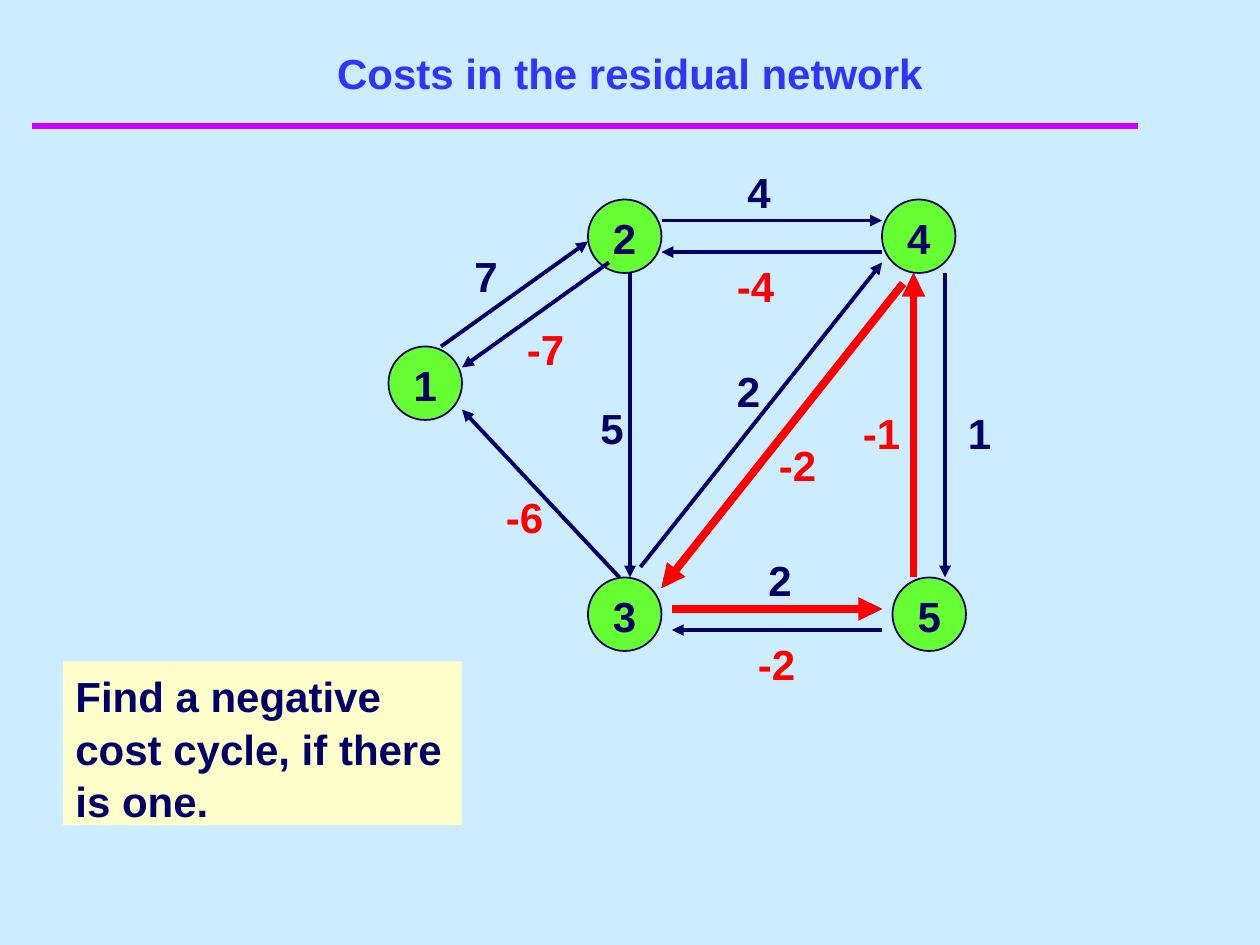
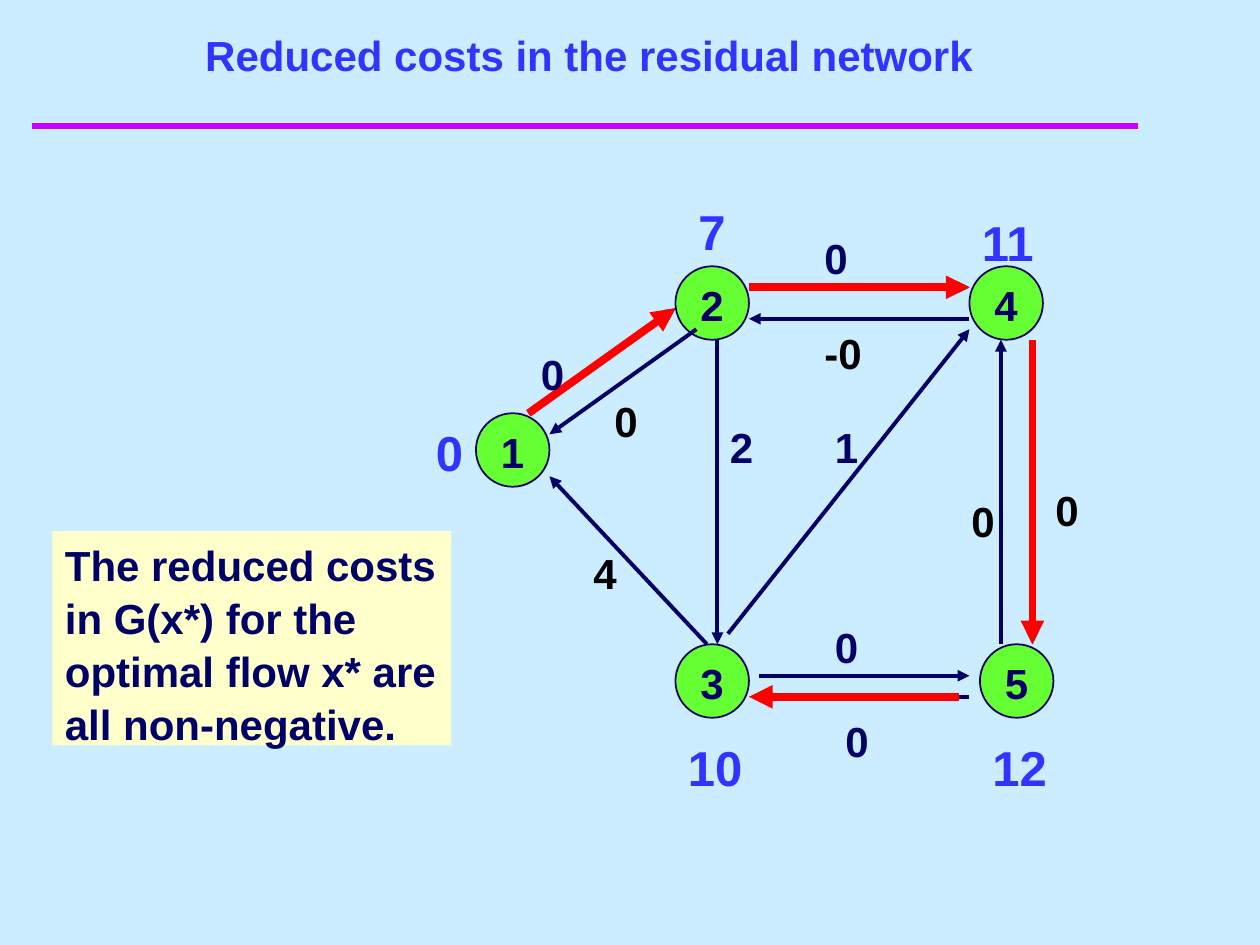
from lxml import etree
from pptx import Presentation
from pptx import util as u
from pptx.dml.color import RGBColor
from pptx.enum import shapes, text
from pptx.oxml import ns

COLOURS = {"sky": "CCECFF", "rule": "CC00FF", "blue": "3333FF", "navy": "000066",
           "green": "66FF33", "red": "FF0000", "black": "000000", "cream": "FFFFCC"}
RGB = {name: RGBColor.from_string(code) for name, code in COLOURS.items()}

deck = Presentation()
deck.slide_width, deck.slide_height = u.Inches(10), u.Inches(7.5)
CELL = deck.slide_width // 120  # the grid has 120 columns and 90 rows
NODE_SIZE, LABEL_HEIGHT, POTENTIAL_HEIGHT = 7, 6, 6.8

NODES = {"1": (37, 33), "2": (56, 19), "4": (84, 19), "3": (56, 55), "5": (85, 55)}
# Arcs by tail and head node: start column, start row, end column, end row
ARCS = {"35": (64, 58, 84, 58), "24": (63, 21, 84, 21), "12": (42, 33, 56, 23),
        "54": (87, 55, 87, 26), "23": (60, 26, 60, 55), "34": (61, 54, 84, 25),
        "21": (58, 25, 44, 35), "53": (84, 60, 64, 60), "31": (59, 55, 44, 39),
        "45": (90, 26, 90, 55), "42": (84, 24, 63, 24), "43": (86, 27, 63, 56)}

# Costs and potentials: text, column, row, width, colour, all relative to the network
NETWORKS = [
    {"title": "Costs in the residual network",
     "title_box": (6, 1.56, 108, 8.4),
     "origin": (0, 0),
     "unused": [],
     "highlights": {"35": 0, "54": 0, "43": 0},
     "potentials": [],
     "costs": [("1", 91, 38, 5, "navy"), ("2", 69, 34, 7, "navy"),
               ("2", 72, 52, 7, "navy"), ("7", 44, 23, 14, "navy"),
               ("-7", 49, 30, 14, "red"), ("-6", 47, 46, 8, "red"),
               ("-2", 71, 60, 7, "red"), ("-1", 81, 38, 7, "red"),
               ("-4", 69, 24, 8, "red"), ("4", 70, 15, 7, "navy"),
               ("-2", 73, 41, 7, "red"), ("5", 56, 37.5, 8, "navy")],
     "callout": "Find a negative cost cycle, if there is one.",
     "callout_box": (6, 63, 38, 15.6)},
    {"title": "Reduced costs in the residual network",
     "title_box": (5.16, 2.04, 101.9, 6.12),
     "origin": (8.33, 6.36),
     "unused": ["43"],
     "highlights": {"12": 0, "24": 0, "45": 0, "53": -1},
     "potentials": [("0", 32, 33, 9, "blue"), ("7", 57, 12, 9, "blue"),
                    ("11", 84, 13, 9, "blue"), ("12", 85, 63, 9, "blue"),
                    ("10", 56, 63, 9, "blue")],
     "costs": [("0", 70, 52, 5, "navy"), ("0", 71, 61, 7, "navy"),
               ("2", 60, 33, 8, "navy"), ("0", 42, 26, 14, "navy"),
               ("-0", 69, 24, 14, "black"), ("4", 47, 45, 8, "black"),
               ("0", 83, 40, 7, "black"), ("0", 91, 39, 7, "black"),
               ("0", 49, 30.5, 8, "black"), ("0", 69, 15, 7, "navy"),
               ("1", 70, 33, 5, "navy")],
     "callout": "The reduced costs in G(x*) for the optimal flow x* are all non-negative.",
     "callout_box": (5, 50.6, 38, 20.4)},
]


def draw_line(slide, ends, colour, width, arrow=True):
    """Draw a straight line between grid points, with an arrowhead at its end."""
    line = slide.shapes.add_connector(shapes.MSO_CONNECTOR.STRAIGHT,
                                      *[round(end * CELL) for end in ends])
    line.line.color.rgb = RGB[colour]
    line.line.width = u.Pt(width)
    if arrow:
        etree.SubElement(line.line._get_or_add_ln(), ns.qn("a:tailEnd"), type="triangle")
    etree.SubElement(line._element.spPr, ns.qn("a:effectLst"))


def write(slide, words, box, colour, size=24, centred=False, anchor="TOP",
          preset=None, fill=None):
    """Write bold text in a grid box, which is a filled shape if a preset is given."""
    area = [round(side * CELL) for side in box]
    if preset:
        holder = slide.shapes.add_shape(preset, *area)
        holder.shadow.inherit = False
        holder.fill.solid()
        holder.fill.fore_color.rgb = RGB[fill]
        holder.line.fill.background()
    else:
        holder = slide.shapes.add_textbox(*area)
    frame = holder.text_frame
    frame.text = words
    frame.word_wrap = True
    frame.vertical_anchor = text.MSO_ANCHOR[anchor]
    paragraph = frame.paragraphs[0]
    paragraph.alignment = text.PP_ALIGN.CENTER if centred else text.PP_ALIGN.LEFT
    paragraph.line_spacing = 1.05
    font = paragraph.runs[0].font
    font.name, font.size, font.bold = "Arial", u.Pt(size), True
    font.color.rgb = RGB[colour]
    return holder


for network in NETWORKS:
    slide = deck.slides.add_slide(deck.slide_layouts[6])
    slide.background.fill.solid()
    slide.background.fill.fore_color.rgb = RGB["sky"]
    draw_line(slide, (3, 12, 108.4, 12), "rule", 4, arrow=False)
    write(slide, network["title"], network["title_box"], "blue", centred=True, anchor="BOTTOM")

    left, top = network["origin"]
    for number, (column, row) in NODES.items():
        node = write(slide, number, (left + column, top + row, NODE_SIZE, NODE_SIZE), "navy",
                     centred=True, anchor="MIDDLE", preset=shapes.MSO_SHAPE.OVAL, fill="green")
        node.text_frame.word_wrap = False
        node.line.color.rgb = RGB["navy"]
        node.line.width = u.Pt(1)

    strokes = [(arc, 0, "navy", 2.25) for arc in ARCS if arc not in network["unused"]]
    strokes += [(arc, shift, "red", 4.5) for arc, shift in network["highlights"].items()]
    for arc, shift, colour, width in strokes:
        x1, y1, x2, y2 = ARCS[arc]
        ends = (left + x1 + shift, top + y1, left + x2 + shift, top + y2)
        draw_line(slide, ends, colour, width)

    for group, size, height in (("potentials", 28, POTENTIAL_HEIGHT),
                                ("costs", 24, LABEL_HEIGHT)):
        for value, column, row, width, colour in network[group]:
            write(slide, value, (left + column, top + row, width, height), colour, size)

    write(slide, network["callout"], network["callout_box"], "navy",
          preset=shapes.MSO_SHAPE.RECTANGLE, fill="cream")

deck.save("out.pptx")
